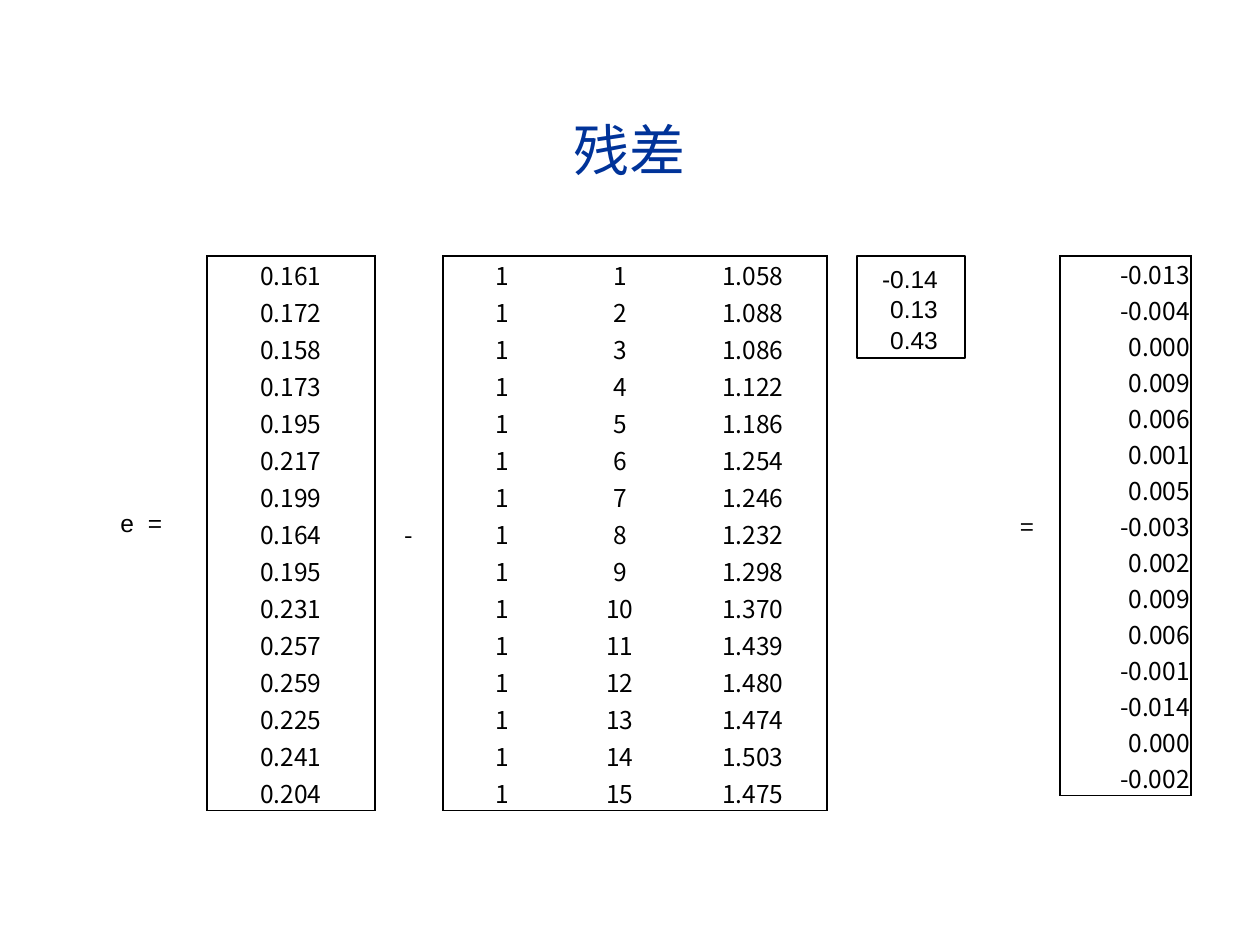
from lxml import etree
from pptx import Presentation, util as u
from pptx.dml.color import RGBColor
from pptx.enum import shapes, text
from pptx.oxml.ns import qn

PX = 914400 // 126
COLORS = {"title": "003399", "ink": "000000"}
LATIN, CJK = "Arial", "Noto Sans CJK SC"
LEFT, CENTER, RIGHT = text.PP_ALIGN.LEFT, text.PP_ALIGN.CENTER, text.PP_ALIGN.RIGHT

observed = [0.161, 0.172, 0.158, 0.173, 0.195, 0.217, 0.199, 0.164,
            0.195, 0.231, 0.257, 0.259, 0.225, 0.241, 0.204]
regressor = [1.058, 1.088, 1.086, 1.122, 1.186, 1.254, 1.246, 1.232,
             1.298, 1.370, 1.439, 1.480, 1.474, 1.503, 1.475]
residuals = [-0.013, -0.004, 0.000, 0.009, 0.006, 0.001, 0.005, -0.003,
             0.002, 0.009, 0.006, -0.001, -0.014, 0.000, -0.002]
coefficients = ["-0.14", "0.13", "0.43"]
OPERATOR_ROW = 7


def write(frame, content, size=14, font=LATIN, color="ink", align=LEFT,
          anchor=text.MSO_ANCHOR.TOP, spacing=None, tracking=None):
    """Fill a text frame, one paragraph per line; tracking is in 1/100 pt."""
    frame.vertical_anchor = anchor
    for i, line in enumerate(content.split("\n")):
        paragraph = frame.add_paragraph() if i else frame.paragraphs[0]
        paragraph.alignment = align
        if spacing:
            paragraph.line_spacing = spacing
        if not line:
            end = etree.SubElement(paragraph._p, qn("a:endParaRPr"), sz=str(size * 100))
            for tag in ("a:latin", "a:ea"):
                etree.SubElement(end, qn(tag), typeface=font)
            continue
        run = paragraph.add_run()
        run.text = line
        run.font.size = u.Pt(size)
        run.font.name = font
        run.font.color.rgb = RGBColor.from_string(COLORS[color])
        props = run._r.get_or_add_rPr()
        etree.SubElement(props, qn("a:ea"), typeface=CJK)
        if tracking:
            props.set("spc", str(tracking))


def draw_border(cell, side, visible):
    line = etree.SubElement(cell._tc.get_or_add_tcPr(), qn(f"a:ln{side}"), w=str(u.Pt(1)))
    if visible:
        fill = etree.SubElement(line, qn("a:solidFill"))
        etree.SubElement(fill, qn("a:srgbClr"), val=COLORS["ink"])
    else:
        etree.SubElement(line, qn("a:noFill"))


deck = Presentation()
deck.slide_width, deck.slide_height = 1260 * PX, 945 * PX
slide = deck.slides.add_slide(deck.slide_layouts[6])

title = slide.shapes.add_textbox(63 * PX, 31 * PX, 1134 * PX, 158 * PX)
title.text_frame.word_wrap = True
write(title.text_frame, "残差", size=32, color="title", align=CENTER,
      anchor=text.MSO_ANCHOR.BOTTOM)

model_rows = [[f"{y:.3f}", "-" if i == OPERATOR_ROW else "", "1", str(i + 1), f"{x:.3f}"]
              for i, (y, x) in enumerate(zip(observed, regressor))]
residual_rows = [["=" if i == OPERATOR_ROW else "", f"{e:.3f}"]
                 for i, e in enumerate(residuals)]

# left, column widths, row height, top margin, rows, framed columns, alignments
matrices = [
    (207, [168, 68, 118, 118, 148], 37, 1, model_rows, {0, 2, 3, 4}, [CENTER] * 5, {0, 1, 2, 5}),
    (994, [66, 131], 36, 0, residual_rows, {1}, [CENTER, RIGHT], {1, 2}),
]
for left, widths, row_height, top_margin, rows, framed, aligns, edges in matrices:
    matrix = slide.shapes.add_table(len(rows), len(widths), left * PX, 256 * PX,
                                    sum(widths) * PX, len(rows) * row_height * PX).table
    matrix.first_row = matrix.horz_banding = False
    for column, width in zip(matrix.columns, widths):
        column.width = width * PX
    for r, values in enumerate(rows):
        matrix.rows[r].height = row_height * PX
        for c, value in enumerate(values):
            cell = matrix.cell(r, c)
            cell.margin_left = cell.margin_right = PX
            cell.margin_top, cell.margin_bottom = top_margin * PX, 0
            write(cell.text_frame, value, font=CJK, align=aligns[c])
            cell.vertical_anchor = text.MSO_ANCHOR.MIDDLE
            draw_border(cell, "L", c in edges)
            draw_border(cell, "R", c + 1 in edges)
            draw_border(cell, "T", r == 0 and c in framed)
            draw_border(cell, "B", r == len(rows) - 1 and c in framed)
            cell.fill.background()

residual_label = slide.shapes.add_textbox(108 * PX, 502 * PX, 88 * PX, 43 * PX)
residual_label.text_frame.word_wrap = True
write(residual_label.text_frame, "e =", tracking=200)

coefficient_box = slide.shapes.add_shape(shapes.MSO_SHAPE.RECTANGLE,
                                         857 * PX, 256 * PX, 108 * PX, 102 * PX)
coefficient_box.shadow.inherit = False
coefficient_box.fill.background()
coefficient_box.line.color.rgb = RGBColor.from_string(COLORS["ink"])
coefficient_box.line.width = u.Pt(0.75)
coefficient_box.text_frame.margin_right = 27 * PX
write(coefficient_box.text_frame, "\n".join(coefficients), align=RIGHT, spacing=1.05)

deck.save("out.pptx")
